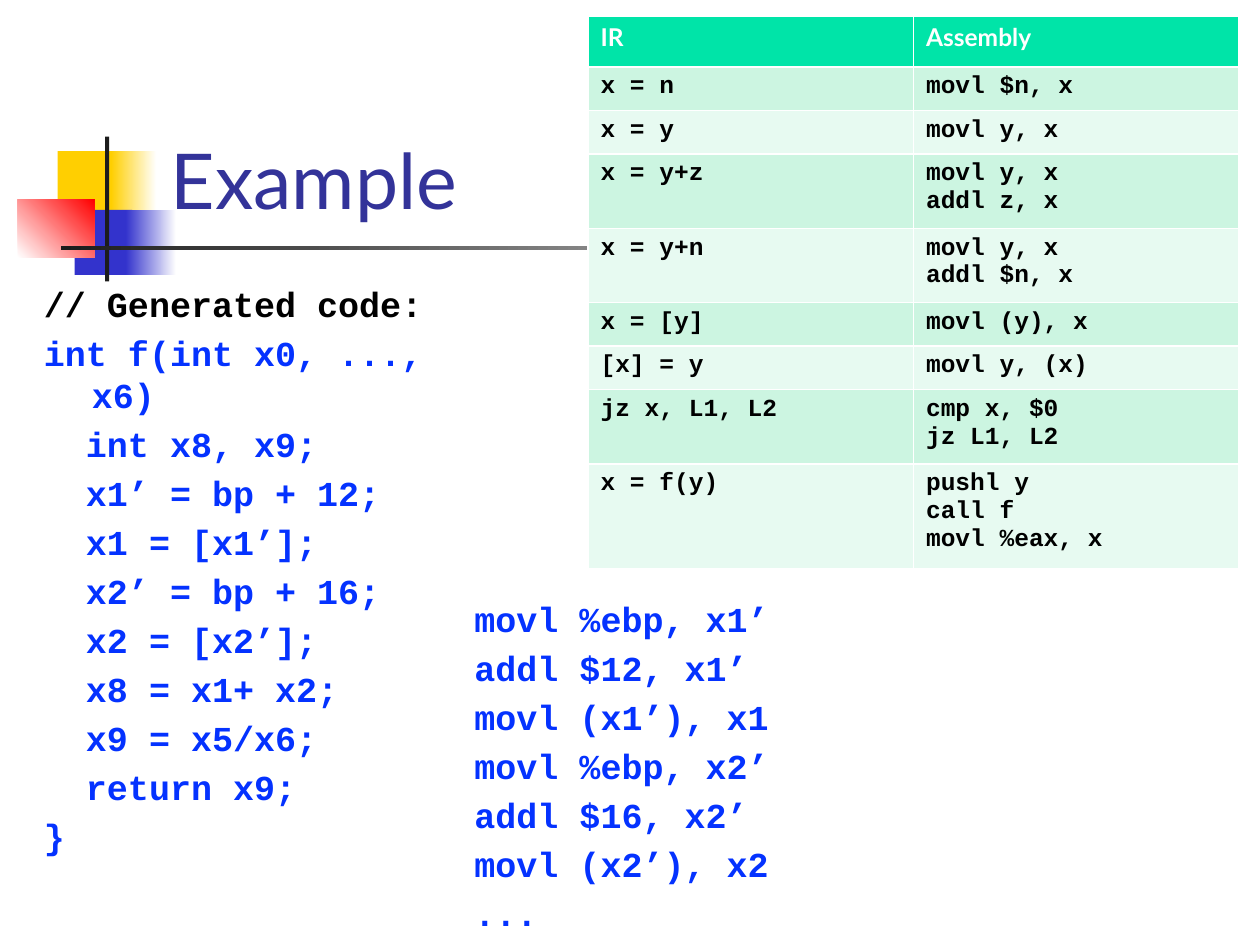
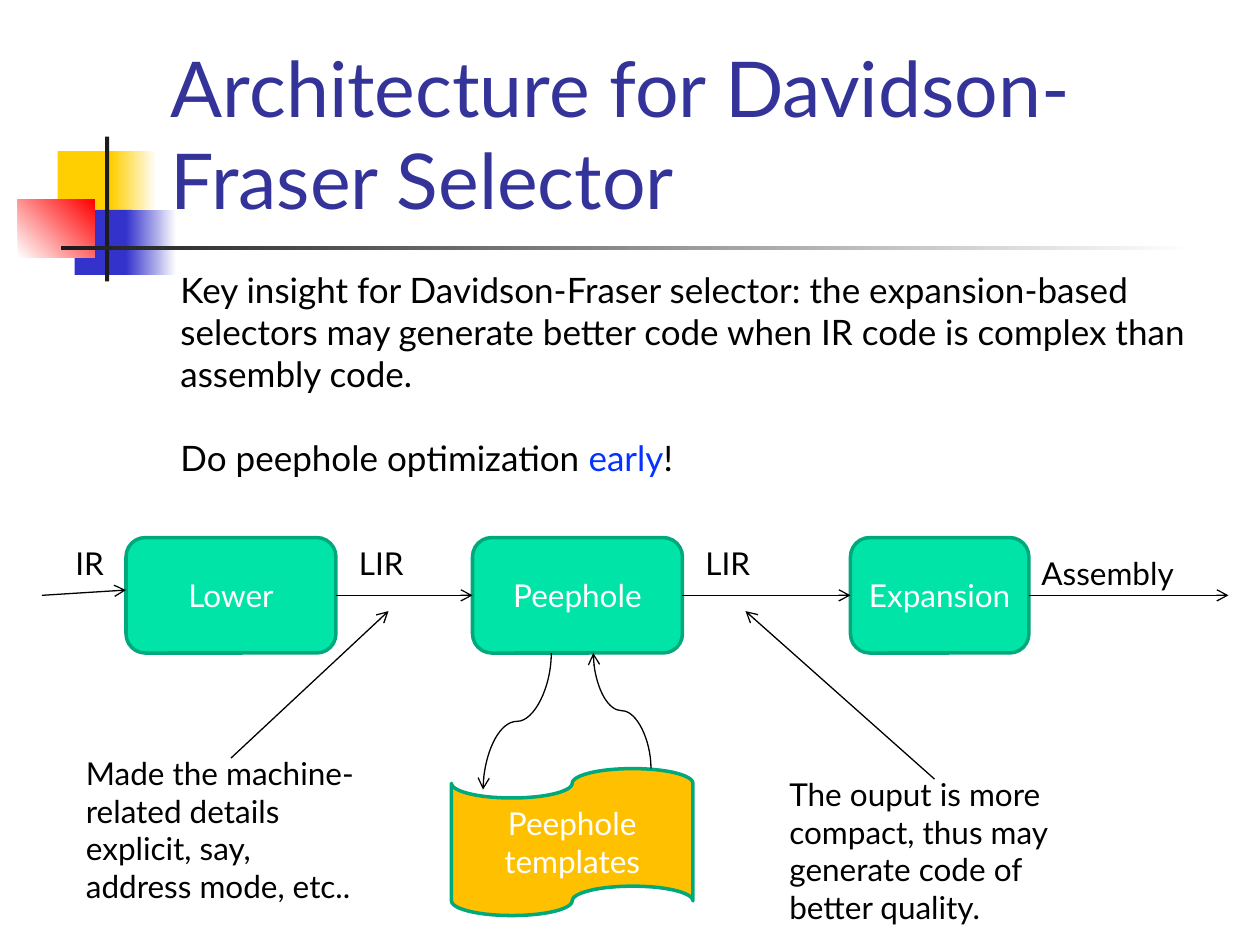
from pptx import Presentation
from pptx.dml.color import RGBColor
from pptx.enum.shapes import MSO_CONNECTOR, MSO_SHAPE
from pptx.enum.text import MSO_ANCHOR, PP_ALIGN
from pptx.oxml.ns import qn
from pptx.util import Emu, Inches, Pt
from lxml import etree

# Shared look; lengths are in grid cells, 120 columns by 90 rows
CELL = Inches(10) / 120
SANS, MONO = "Lato", "Courier New"
BLACK, WHITE, DARK = "000000", "FFFFFF", "1C1C1C"
YELLOW, NAVY, RED = "FFCF01", "3333CC", "FF0000"
TITLE, BLUE = "333399", "0432FF"
GREEN, EDGE, AMBER = "00E4A8", "00A97C", "FFC000"
BANDS = "CCF5E1", "E7FAF1"

CODE = [
    "int f(int x0, ..., x6)",
    "  int x8, x9;",
    "  x1’ = bp + 12;",
    "  x1 = [x1’];",
    "  x2’ = bp + 16;",
    "  x2 = [x2’];",
    "  x8 = x1+ x2;",
    "  x9 = x5/x6;",
    "  return x9;",
    "}",
]
ASM = [
    "movl %ebp, x1’",
    "addl $12, x1’",
    "movl (x1’), x1",
    "movl %ebp, x2’",
    "addl $16, x2’",
    "movl (x2’), x2",
    "...",
]
RULES = [
    ("x = n", ["movl $n, x"]),
    ("x = y", ["movl y, x"]),
    ("x = y+z", ["movl y, x", "addl z, x"]),
    ("x = y+n", ["movl y, x", "addl $n, x"]),
    ("x = [y]", ["movl (y), x"]),
    ("[x] = y", ["movl y, (x)"]),
    ("jz x, L1, L2", ["cmp x, $0", "jz L1, L2"]),
    ("x = f(y)", ["pushl y", "call f", "movl %eax, x"]),
]


def rgb(code):
    return RGBColor.from_string(code)


def grid(*cells):
    return [Emu(round(c * CELL)) for c in cells]


def place(box, x, y, w, h):
    return box[0] + x, box[1] + y, w, h


def style(para, size, color, face=SANS, bold=False):
    font = para.font
    font.size, font.name, font.bold = Pt(size), face, bold
    font.color.rgb = rgb(color)


def write(frame, lines, *look):
    for i, line in enumerate(lines):
        para = frame.add_paragraph() if i else frame.paragraphs[0]
        para.text = line
        style(para, *look)
    return frame.paragraphs


def text(slide, box, lines, *look):
    frame = slide.shapes.add_textbox(*grid(*box)).text_frame
    frame.word_wrap = True
    write(frame, lines, *look)
    return frame


def shape(slide, kind, box, fill, edge=None):
    item = slide.shapes.add_shape(kind, *grid(*box))
    item.shadow.inherit = False
    item.fill.solid()
    item.fill.fore_color.rgb = rgb(fill)
    if edge:
        item.line.color.rgb = rgb(edge)
        item.line.width = Pt(2)
    else:
        item.line.fill.background()
    return item


def fade(slide, box, start, end, angle=0):
    fill = shape(slide, MSO_SHAPE.RECTANGLE, box, start).fill
    fill.gradient()
    fill.gradient_angle = angle
    for stop, color in zip(fill.gradient_stops, (start, end)):
        stop.color.rgb = rgb(color)


def arrow(slide, box, x1, y1, x2, y2, kind=MSO_CONNECTOR.STRAIGHT):
    ends = [box[0] + x1, box[1] + y1, box[0] + x2, box[1] + y2]
    line = slide.shapes.add_connector(kind, *grid(*ends))
    line.line.color.rgb = rgb(BLACK)
    line.line.width = Pt(0.75)
    props = line._element.spPr
    etree.SubElement(line.line._get_or_add_ln(), qn("a:tailEnd"), type="arrow")
    etree.SubElement(props, qn("a:effectLst"))
    return props


def curve(slide, box, x1, y1, x2, y2):
    """An S curve that leaves and arrives upright: a level one, turned."""
    turn = 1 if y2 > y1 else -1
    mx, my = (x1 + x2) / 2, (y1 + y2) / 2
    dx, dy = turn * (y2 - y1) / 2, turn * (x1 - x2) / 2
    props = arrow(slide, box, mx - dx, my - dy, mx + dx, my + dy,
                  MSO_CONNECTOR.CURVE)
    angle = 90 if turn > 0 else 270
    props.find(qn("a:xfrm")).set("rot", str(angle * 60000))


def decor(slide, box):
    rect = MSO_SHAPE.RECTANGLE
    # Colour blocks with fading right halves
    for color, x, y, w, tail, span in ((YELLOW, 3.8, 1.4, 5.8, 8.9, 4.3),
                                       (NAVY, 5.4, 7, 5.5, 10.3, 4.8)):
        shape(slide, rect, place(box, x, y, w, 6.2), color)
        fade(slide, place(box, tail, y, span, 6.2), color, WHITE)
    fade(slide, place(box, 0, 6, 7.3, 5.5), WHITE, RED, 45)
    # Crossing rules
    shape(slide, rect, place(box, 8.3, 0, 0.4, 13.8), DARK)
    fade(slide, place(box, 4.1, 10.4, 108, 0.4), DARK, WHITE)


def page(deck, title):
    slide = deck.slides.add_slide(deck.slide_layouts[6])
    decor(slide, (1.7, 13, 110.4, 13.8))
    frame = text(slide, (15.1, 2.8, 102.2, 19.2), [title], 44, TITLE)
    frame.vertical_anchor = MSO_ANCHOR.BOTTOM
    return slide


def code(slide, box, lines, head=None):
    full = [head] + lines if head else lines
    paras = text(slide, box, full, 20, BLUE, MONO, True).paragraphs
    if head:
        paras[0].font.color.rgb = rgb(BLACK)
    for i, para in enumerate(paras):
        para.line_spacing = Pt(24)
        if i:
            para.space_before = Pt(4)
        props = para._p.get_or_add_pPr()
        props.set("marL", str(Inches(0.38)))
        props.set("indent", str(-Inches(0.38)))


def rules(slide, box):
    x, y, w, h = grid(*box)
    table = slide.shapes.add_table(len(RULES) + 1, 2, x, y, w, h).table
    table.horz_banding = False
    rows = [("IR", ["Assembly"])] + RULES
    for r, (left, right) in enumerate(rows):
        # Row height follows the number of code lines
        high = 1.2 + 2.94 * len(right) if r else 4.9
        table.rows[r].height = grid(high)[0]
        look = (BLACK, MONO) if r else (WHITE, SANS)
        for c, lines in enumerate(([left], right)):
            cell = table.cell(r, c)
            cell.fill.solid()
            cell.fill.fore_color.rgb = rgb(BANDS[(r - 1) % 2] if r else GREEN)
            write(cell.text_frame, lines, 14, *look, True)


def insight(slide, box):
    frame = text(slide, box, [
        "Key insight for Davidson-Fraser selector: the expansion-based "
        "selectors may generate better code when IR code is complex than "
        "assembly code."], 20, BLACK)
    para = frame.add_paragraph()
    para.space_before = Pt(24)
    style(para, 20, BLACK)
    for part in ("Do peephole optimization ", "early", "!"):
        run = para.add_run()
        run.text = part
        if part == "early":
            run.font.color.rgb = rgb(BLUE)


def node(slide, box, lines, kind=MSO_SHAPE.ROUNDED_RECTANGLE, fill=GREEN):
    frame = shape(slide, kind, box, fill, EDGE).text_frame
    frame.vertical_anchor = MSO_ANCHOR.MIDDLE
    for para in write(frame, lines, 18, WHITE):
        para.alignment = PP_ALIGN.CENTER


def flow(slide, box):
    # Stages
    for name, x, w in (("Lower", 8, 20), ("Peephole", 41, 20),
                       ("Expansion", 77, 17)):
        node(slide, place(box, x, 0, w, 11), [name])
    node(slide, place(box, 39, 22, 23, 14), ["Peephole", "templates"],
         MSO_SHAPE.FLOWCHART_PUNCHED_TAPE, AMBER)
    # Arrows between stages, then from the notes
    for ends in ((0, 5.5, 8, 5), (28, 5.5, 41, 5.5), (61, 5.5, 77, 5.5),
                 (94, 5.5, 113, 5.5), (18, 21, 33, 7), (85, 23, 67, 7)):
        arrow(slide, box, *ends)
    curve(slide, box, 48.5, 11, 42, 24)
    curve(slide, box, 58, 22, 52.5, 11)
    # Labels and notes
    for words, x, y, w, h in (
            ("IR", 2, 0, 9, 4.8),
            ("LIR", 29, 0, 10, 4.8),
            ("LIR", 62, 0, 17, 4.8),
            ("Assembly", 94, 1, 16, 4.8),
            ("Made the machine-related details explicit, say, "
             "address mode, etc..", 3, 20, 28, 15.8),
            ("The ouput is more compact, thus may generate code of "
             "better quality.", 70, 22, 28, 15.8)):
        text(slide, place(box, x, y, w, h), [words], 18, BLACK)


def main():
    deck = Presentation()
    deck.slide_width, deck.slide_height = Inches(10), Inches(7.5)

    first = page(deck, "Example")
    code(first, (3, 26.3, 46, 54), CODE, "// Generated code:")
    code(first, (44, 56.3, 46, 18), ASM)
    rules(first, (56, 1.5, 62, 52.5))

    second = page(deck, "Architecture for Davidson-Fraser Selector")
    flow(second, (4, 51.2, 113, 37.8))
    insight(second, (16, 25, 100, 21.4))

    deck.save("out.pptx")


if __name__ == "__main__":
    main()
